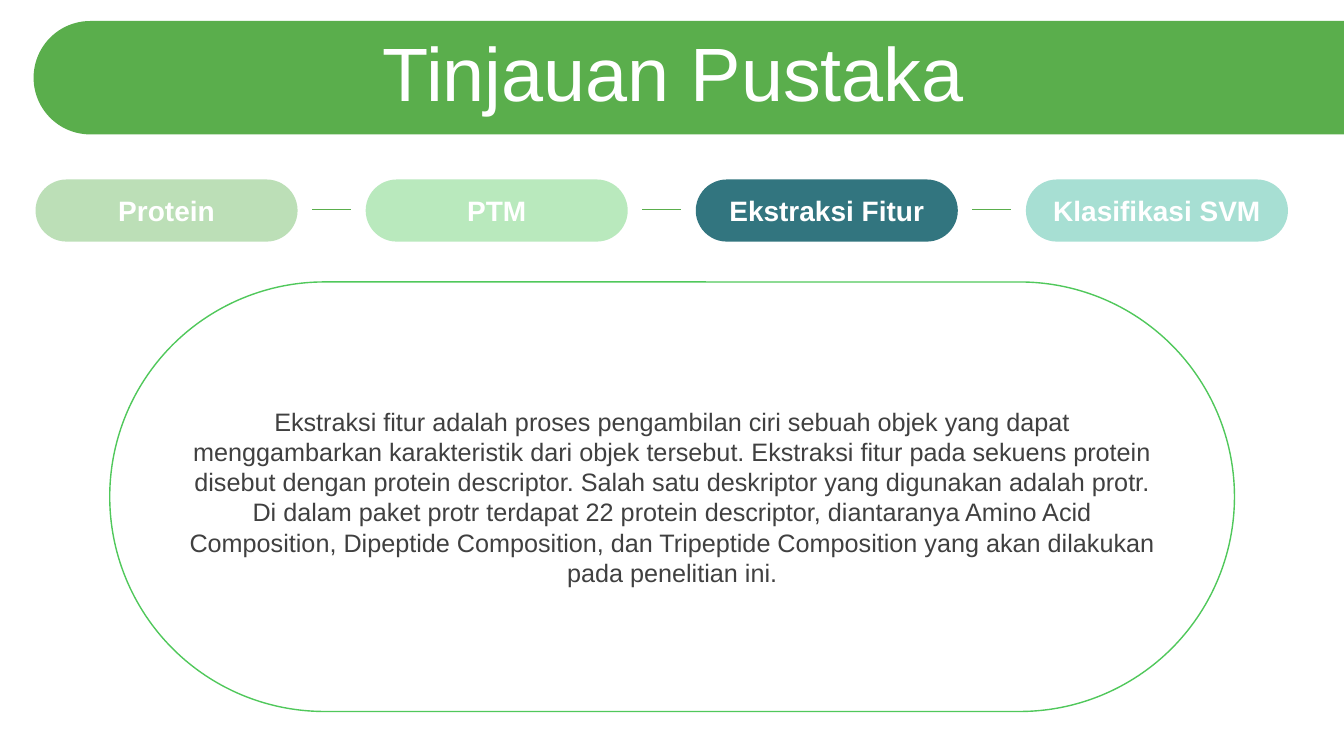
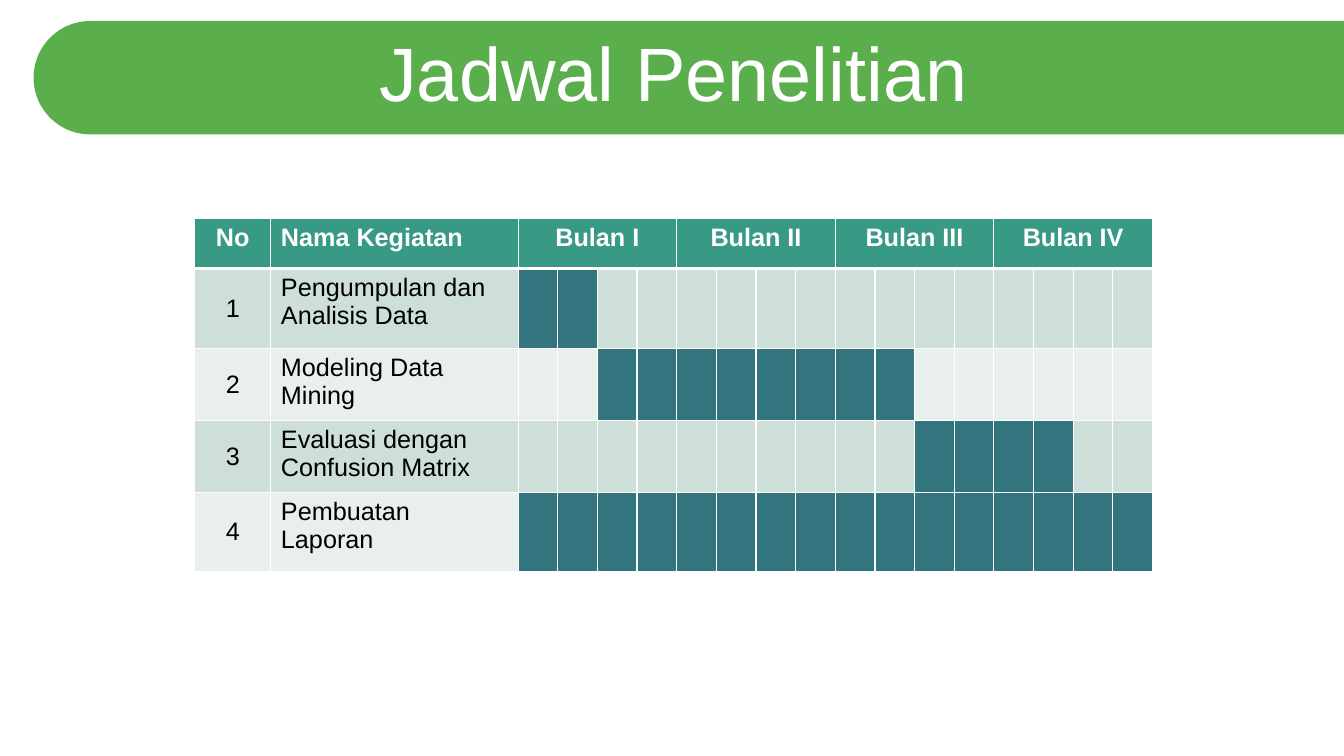
from dataclasses import dataclass

from lxml.etree import SubElement
from pptx import Presentation
from pptx.dml.color import RGBColor as RGB
from pptx.enum.shapes import MSO_CONNECTOR as CONNECTOR, MSO_SHAPE as SHAPE
from pptx.enum.text import MSO_ANCHOR as ANCHOR, MSO_AUTO_SIZE as AUTO_SIZE, PP_ALIGN as ALIGN
from pptx.oxml.ns import qn
from pptx.util import Pt


@dataclass(frozen=True)
class Theme:
    """Colours, font and type sizes shared by the slides."""
    font: str = "Arial"
    title_size: int = 54
    step_size: int = 20
    text_size: int = 18
    white: str = "FFFFFF"
    black: str = "000000"
    text: str = "404040"
    green: str = "5AAE4C"
    outline: str = "50C85B"
    teal: str = "32757F"
    header: str = "389985"
    stripes: tuple = ("CEDED9", "E8EFED")


THEME = Theme()
STEPS = [("Protein", "BCDFB7"), ("PTM", "B9E9BD"),
         ("Ekstraksi Fitur", THEME.teal), ("Klasifikasi SVM", "A7DFD3")]
EXTRACTION = [
    "Ekstraksi fitur adalah proses pengambilan ciri sebuah objek yang dapat menggambarkan "
    "karakteristik dari objek tersebut. Ekstraksi fitur pada sekuens protein disebut dengan "
    "protein descriptor. Salah satu deskriptor yang digunakan adalah protr.",
    "Di dalam paket protr terdapat 22 protein descriptor, diantaranya Amino Acid Composition, "
    "Dipeptide Composition, dan Tripeptide Composition yang akan dilakukan pada penelitian ini.",
]
MONTHS = ["Bulan I", "Bulan II", "Bulan III", "Bulan IV"]
WEEKS = 4
ACTIVITIES = [("Pengumpulan dan Analisis Data", range(0, 2)),
              ("Modeling Data Mining", range(2, 10)),
              ("Evaluasi dengan Confusion Matrix", range(10, 14)),
              ("Pembuatan Laporan", range(0, 16))]


def write(frame, lines, size, color, bold=False, align=ALIGN.CENTER):
    """Write one paragraph per line in a single style."""
    frame.text = "\n".join(lines)
    for paragraph in frame.paragraphs:
        paragraph.alignment = align
        font = paragraph.font
        font.name, font.size, font.bold = THEME.font, Pt(size), bold
        font.color.rgb = RGB.from_string(color)


def add_rounded(slide, kind, box, fill, line=None):
    """Add a fully rounded shape filling the box."""
    shape = slide.shapes.add_shape(kind, *map(Pt, box))
    shape.adjustments[0] = 0.5
    shape.shadow.inherit = False
    shape.fill.solid()
    shape.fill.fore_color.rgb = RGB.from_string(fill)
    if line:
        shape.line.color.rgb = RGB.from_string(line)
        shape.line.width = Pt(1)
    else:
        shape.line.fill.background()
    shape.text_frame.word_wrap = True
    shape.text_frame.vertical_anchor = ANCHOR.MIDDLE
    return shape


def share_band(slide, box):
    """Put the title band on the layout of the slide."""
    left, top, width, height = box
    upright = (left + (width - height) / 2, top + (height - width) / 2, height, width)
    band = add_rounded(slide, SHAPE.ROUND_2_SAME_RECTANGLE, upright, THEME.green)
    band.rotation = 270
    slide.slide_layout.shapes._spTree.insert(2, band._element)


def add_title(slide, text, box):
    """Place and format the title placeholder."""
    title = slide.shapes.title
    title.left, title.top, title.width, title.height = map(Pt, box)
    frame = title.text_frame
    write(frame, [text], THEME.title_size, THEME.white)
    frame.word_wrap = True
    frame.auto_size = AUTO_SIZE.NONE
    frame.vertical_anchor = ANCHOR.MIDDLE
    frame.paragraphs[0].line_spacing = 0.9
    frame.paragraphs[0].space_before = Pt(10)


def add_steps(slide, box, gap=48.6, dash=28):
    """Add a row of step pills with a short line in each gap."""
    left, top, width, height = box
    pill_width = (width - gap * (len(STEPS) - 1)) / len(STEPS)
    middle = top + height / 2 - 0.6
    for index, (label, color) in enumerate(STEPS):
        x = left + index * (pill_width + gap)
        pill = add_rounded(slide, SHAPE.ROUNDED_RECTANGLE, (x, top, pill_width, height), color)
        write(pill.text_frame, [label], THEME.step_size, THEME.white, bold=True)
        if index:
            start = x - (gap + dash) / 2
            link = slide.shapes.add_connector(
                CONNECTOR.STRAIGHT, Pt(start), Pt(middle), Pt(start + dash), Pt(middle))
            link.line.color.rgb = RGB.from_string(THEME.green)
            link.line.width = Pt(0.5)
            SubElement(link._element.spPr, qn("a:effectLst"))


def add_explanation(slide, box):
    """Add the outlined panel with the explanation."""
    panel = add_rounded(slide, SHAPE.ROUNDED_RECTANGLE, box, THEME.white, THEME.outline)
    write(panel.text_frame, EXTRACTION, THEME.text_size, THEME.text)


def style_cell(cell, fill, top=1, bottom=1):
    """Give a cell white borders and a plain fill."""
    properties = cell._tc.get_or_add_tcPr()
    for side, width in (("L", 1), ("R", 1), ("T", top), ("B", bottom)):
        border = SubElement(properties, qn(f"a:ln{side}"), w=str(Pt(width)))
        SubElement(SubElement(border, qn("a:solidFill")), qn("a:srgbClr"), val=THEME.white)
    cell.fill.solid()
    cell.fill.fore_color.rgb = RGB.from_string(fill)


def add_schedule(slide, box, fixed=(54.5, 176.6), rows=(36, 57, 51.8, 51, 57)):
    """Add the schedule table, with a column for each week."""
    weeks = len(MONTHS) * WEEKS
    first = len(fixed)
    table = slide.shapes.add_table(len(rows), first + weeks, *map(Pt, box)).table
    table.horz_banding = False
    week_width = (box[2] - sum(fixed)) / weeks
    for column, width in zip(table.columns, [*fixed, *[week_width] * weeks]):
        column.width = Pt(width)
    for row, height in zip(table.rows, rows):
        row.height = Pt(height)

    for cell in table.rows[0].cells:
        style_cell(cell, THEME.header, bottom=3)
    for index, month in enumerate(MONTHS):
        column = first + index * WEEKS
        table.cell(0, column).merge(table.cell(0, column + WEEKS - 1))
        write(table.cell(0, column).text_frame, [month], THEME.text_size, THEME.white, True)
    write(table.cell(0, 0).text_frame, ["No"], THEME.text_size, THEME.white, True)
    write(table.cell(0, 1).text_frame, ["Nama Kegiatan"], THEME.text_size, THEME.white,
          True, ALIGN.LEFT)

    for number, (activity, active) in enumerate(ACTIVITIES, 1):
        stripe = THEME.stripes[(number - 1) % 2]
        for column, cell in enumerate(table.rows[number].cells):
            fill = THEME.teal if column - first in active else stripe
            style_cell(cell, fill, top=3 if number == 1 else 1)
        number_cell = table.cell(number, 0)
        number_cell.vertical_anchor = ANCHOR.MIDDLE
        write(number_cell.text_frame, [str(number)], THEME.text_size, THEME.black)
        write(table.cell(number, 1).text_frame, [activity], THEME.text_size, THEME.black,
              align=ALIGN.LEFT)


def main():
    """Build the presentation and save it."""
    deck = Presentation()
    deck.slide_width, deck.slide_height = Pt(960), Pt(540)
    review, schedule = (deck.slides.add_slide(deck.slide_layouts[5]) for _ in range(2))
    share_band(review, (24, 15, 936, 81))
    for slide, title in ((review, "Tinjauan Pustaka"), (schedule, "Jadwal Penelitian")):
        add_title(slide, title, (25, 26.6, 912, 57))
    add_steps(review, (25.4, 128.2, 894.6, 44.4))
    add_explanation(review, (78.4, 201.4, 803.4, 306.8))
    add_schedule(schedule, (139, 155.8, 684.3, 252.8))
    deck.save("out.pptx")


if __name__ == "__main__":
    main()
